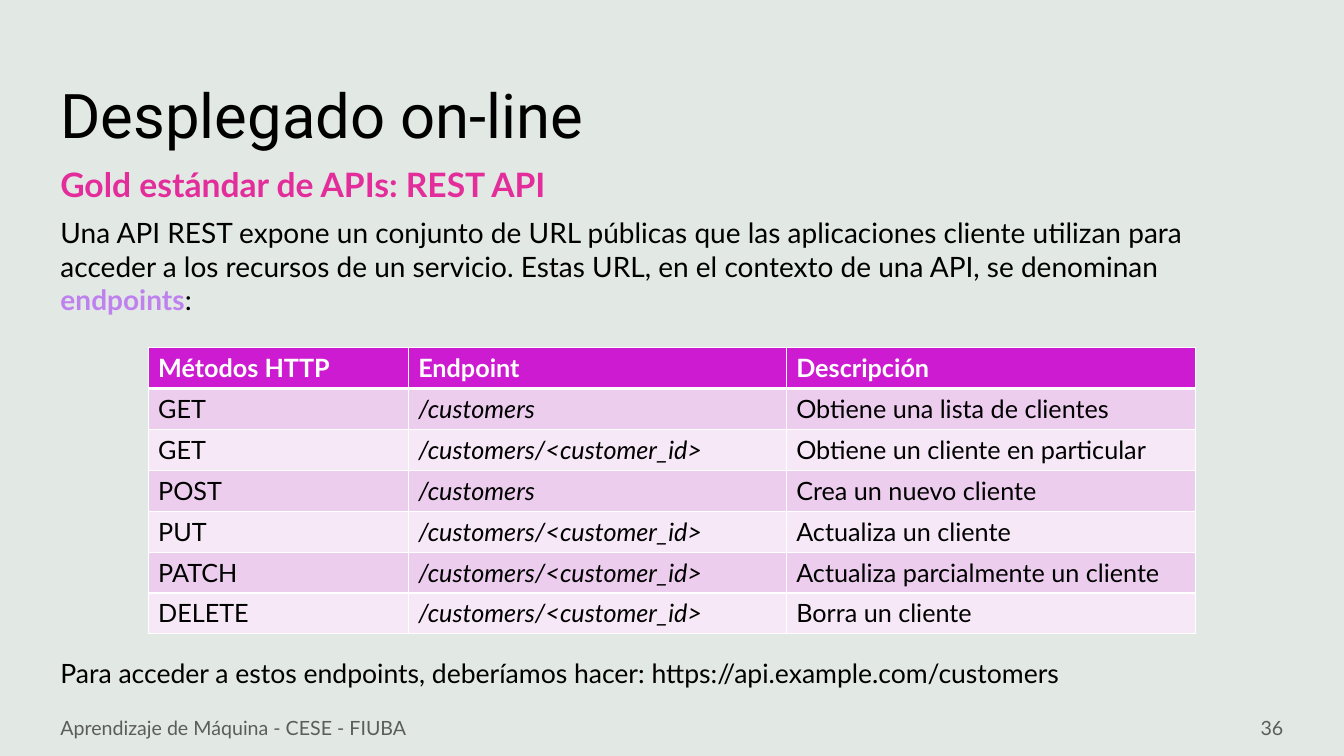
from dataclasses import dataclass

from lxml import etree
from pptx import Presentation
from pptx.dml.color import RGBColor
from pptx.enum.text import MSO_ANCHOR, MSO_AUTO_SIZE, PP_ALIGN
from pptx.oxml.ns import qn
from pptx.util import Pt

LEFT, RIGHT = PP_ALIGN.LEFT, PP_ALIGN.RIGHT
TOP, MIDDLE = MSO_ANCHOR.TOP, MSO_ANCHOR.MIDDLE
NO_FIT = MSO_AUTO_SIZE.NONE

BLACK, WHITE, GREY = "000000", "FFFFFF", "5A5D5B"
PAPER, PINK, LILAC = "E2E8E4", "E32D9B", "BE81EE"
HEAD, BANDS = "CD1BD1", ("EDCDEE", "F6E8F7")

ROW_H = 29.2
COLS = (185.8, 270, 292.3)
ONE = "/customers/<customer_id>"


@dataclass
class Call:
    verb: str
    end: str
    info: str


@dataclass
class Label:
    text: str
    box: tuple
    size: float
    color: str
    bold: bool = False
    align: PP_ALIGN = LEFT
    anchor: MSO_ANCHOR = MIDDLE


CALLS = [
    Call("GET", "/customers", "Obtiene una lista de clientes"),
    Call("GET", ONE, "Obtiene un cliente en particular"),
    Call("POST", "/customers", "Crea un nuevo cliente"),
    Call("PUT", ONE, "Actualiza un cliente"),
    Call("PATCH", ONE, "Actualiza parcialmente un cliente"),
    Call("DELETE", ONE, "Borra un cliente"),
]

LABELS = [
    Label("Gold estándar de APIs: REST API", (36, 113.8, 766, 36), 24, PINK,
          bold=True, anchor=TOP),
    Label("Aprendizaje de Máquina - CESE - FIUBA", (36, 505.4, 324, 28.8), 14, GREY),
    Label("36", (707.8, 505.4, 216, 28.8), 14, GREY, align=RIGHT),
]


def paint(fmt, color: str) -> None:
    """Give a fill one solid colour."""
    fmt.solid()
    fmt.fore_color.rgb = RGBColor.from_string(color)


def write(par, text: str, *, size: float, color: str = BLACK, font: str = "Lato",
          bold: bool = False, italic: bool = False) -> None:
    run = par.add_run()
    run.text = text
    face = run.font
    face.name, face.size, face.bold, face.italic = font, Pt(size), bold, italic
    paint(face.fill, color)


def place(shape, box: tuple, anchor: MSO_ANCHOR):
    """Set position and frame; return the text frame."""
    shape.left, shape.top, shape.width, shape.height = map(Pt, box)
    frame = shape.text_frame
    frame.word_wrap, frame.auto_size = True, NO_FIT
    frame.vertical_anchor = anchor
    return frame


def plain(par, before: float) -> None:
    """Drop the bullet and indent of a body paragraph."""
    par.space_before = Pt(before)
    par.alignment = LEFT
    props = par._p.get_or_add_pPr()
    props.set("marL", "0")
    props.set("indent", "0")
    etree.SubElement(props, qn("a:buNone"))


def add_label(slide, item: Label) -> None:
    shape = slide.shapes.add_textbox(*map(Pt, item.box))
    par = place(shape, item.box, item.anchor).paragraphs[0]
    par.alignment = item.align
    write(par, item.text, size=item.size, color=item.color, bold=item.bold)


def edge(cell, row: int) -> None:
    """Draw white borders, thick between the header and the first row."""
    props = cell._tc.get_or_add_tcPr()
    thick = {0: "lnB", 1: "lnT"}.get(row)
    for side in ("lnL", "lnR", "lnT", "lnB"):
        width = Pt(3 if side == thick else 1)
        line = etree.SubElement(props, qn(f"a:{side}"), w=str(width))
        fill = etree.SubElement(line, qn("a:solidFill"))
        etree.SubElement(fill, qn("a:srgbClr"), val=WHITE)


def add_grid(slide) -> None:
    rows = [Call("Métodos HTTP", "Endpoint", "Descripción"), *CALLS]
    table = slide.shapes.add_table(
        len(rows), len(COLS), Pt(105.8), Pt(248.4),
        Pt(sum(COLS)), Pt(ROW_H * len(rows))).table
    table.horz_banding = False
    for col, width in zip(table.columns, COLS):
        col.width = Pt(width)
    for r, call in enumerate(rows):
        table.rows[r].height = Pt(ROW_H)
        top = r == 0
        for c, text in enumerate((call.verb, call.end, call.info)):
            cell = table.cell(r, c)
            edge(cell, r)
            paint(cell.fill, HEAD if top else BANDS[(r - 1) % 2])
            write(cell.text_frame.paragraphs[0], text, size=18, bold=top,
                  color=WHITE if top else BLACK, italic=c == 1 and not top)


def main() -> None:
    deck = Presentation()
    deck.slide_width, deck.slide_height = Pt(960), Pt(540)
    slide = deck.slides.add_slide(deck.slide_layouts[1])
    paint(slide.background.fill, PAPER)

    title, body = slide.placeholders
    par = place(title, (36, 28.8, 858.2, 104.4), MIDDLE).paragraphs[0]
    par.alignment = LEFT
    write(par, "Desplegado on-line", size=44, font="Roboto")

    frame = place(body, (36, 150.5, 887.8, 360.7), TOP)
    intro = frame.paragraphs[0]
    plain(intro, 0)
    write(intro, "Una API REST expone un conjunto de URL públicas que las "
          "aplicaciones cliente utilizan para acceder a los recursos de un "
          "servicio. Estas URL, en el contexto de una API, se denominan ", size=20)
    write(intro, "endpoints", size=20, color=LILAC, bold=True)
    write(intro, ":", size=20)
    close = frame.add_paragraph()
    plain(close, 243)
    write(close, "Para acceder a estos endpoints, deberíamos hacer: "
          "https://api.example.com/customers", size=19)

    for item in LABELS:
        add_label(slide, item)
    add_grid(slide)
    deck.save("out.pptx")


if __name__ == "__main__":
    main()
